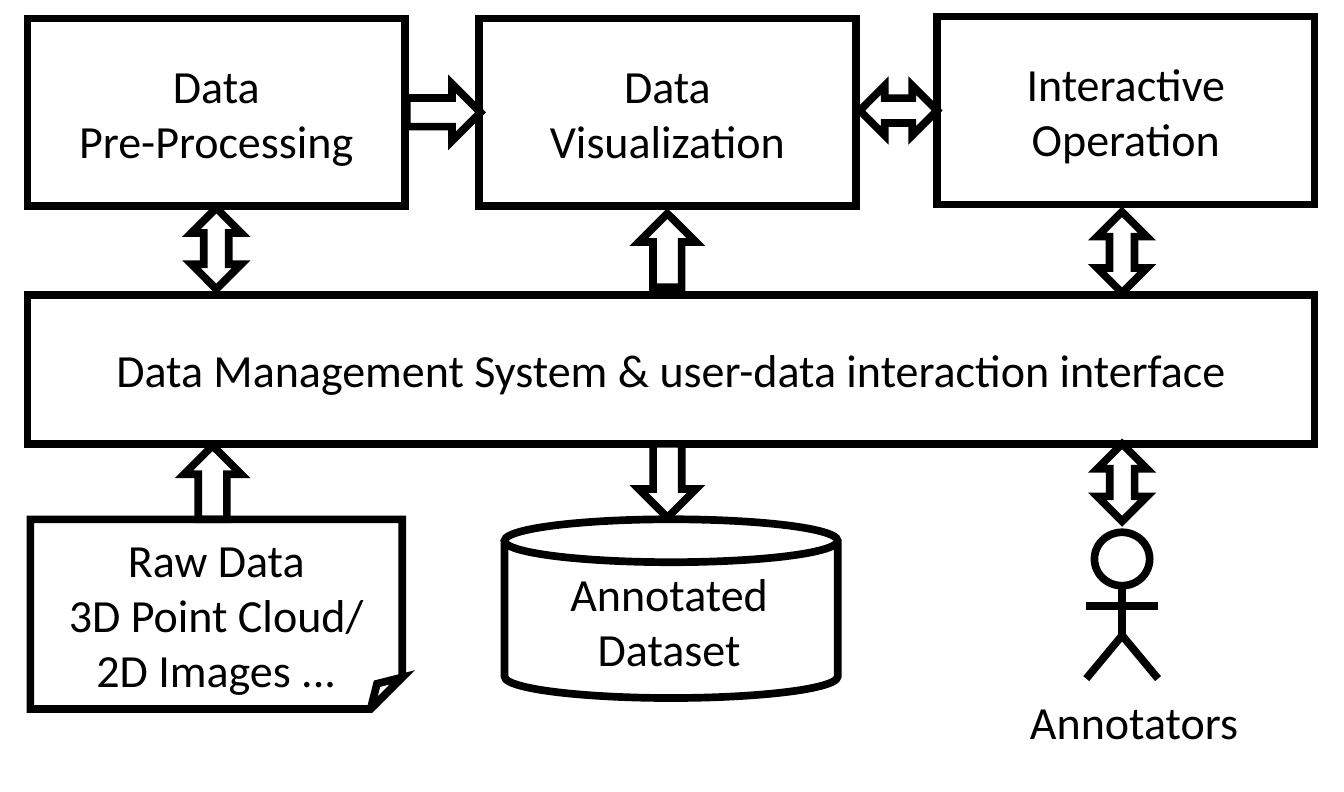
from dataclasses import dataclass
from typing import Any, Optional

from lxml.etree import SubElement
from pptx import Presentation
from pptx.dml.color import RGBColor as RGB
from pptx.enum.shapes import MSO_CONNECTOR as Link, MSO_SHAPE as Kind
from pptx.enum.text import MSO_ANCHOR as Anchor, PP_ALIGN as Align
from pptx.oxml.ns import qn
from pptx.util import Inches, Pt

# The slide is a grid of 73 columns by 43 rows of square cells.
CELL = Inches(0.1)
COLS, ROWS = 73, 43
MARGIN, BOX_W, BAR_W = 1.5, 20.5, 69.9

# Five lanes: the three boxes and the two gaps between them, by centre.
LANES = [MARGIN + BOX_W / 2 + i * (BAR_W - BOX_W) / 4 for i in range(5)]
LEFT, LEFT_GAP, MID, RIGHT_GAP, RIGHT = LANES
TOP, UPPER_GAP, SYSTEM, LOWER_GAP, BOTTOM = 6.1, 13.6, 20.05, 26.2, 33.35


@dataclass(frozen=True)
class Theme:
    """Colours, font and sizes of the slide."""
    ink: RGB = RGB(0, 0, 0)
    paper: RGB = RGB(255, 255, 255)
    font: str = "Calibri"
    size: float = 18
    stroke: float = 3


@dataclass(frozen=True)
class Node:
    """A shape placed by its centre and size, in grid cells."""
    kind: Kind
    x: float
    y: float
    w: float
    h: float
    text: str = ""
    turn: float = 0
    filled: bool = True
    lined: bool = True
    adj: Optional[float] = None


THEME = Theme()


def cells(n: float) -> int:
    """Turn grid cells into a slide length."""
    return round(n * CELL)


def write(sp: Any, text: str, *, size: float = THEME.size, color: RGB = THEME.ink,
          align: Align = Align.CENTER, anchor: Anchor = Anchor.MIDDLE) -> None:
    """Write one paragraph per line of text into a shape."""
    tf = sp.text_frame
    tf.word_wrap = True
    tf.vertical_anchor = anchor
    for i, line in enumerate(text.split("\n")):
        p = tf.add_paragraph() if i else tf.paragraphs[0]
        p.alignment = align
        r = p.add_run()
        r.text = line
        r.font.name, r.font.size = THEME.font, Pt(size)
        r.font.color.rgb = color


def outline(sp: Any) -> None:
    """Give a shape or connector the thick, sharp-cornered line."""
    sp.line.color.rgb = THEME.ink
    sp.line.width = Pt(THEME.stroke)
    SubElement(sp.line._get_or_add_ln(), qn("a:miter"), lim="800000")


def draw(shapes: Any, n: Node) -> None:
    """Draw one node with its fill, line and text."""
    sp = shapes.add_shape(n.kind, cells(n.x - n.w / 2), cells(n.y - n.h / 2),
                          cells(n.w), cells(n.h))
    sp.rotation = n.turn
    if n.adj is not None:
        sp.adjustments[0] = n.adj
    if n.filled:
        sp.fill.solid()
        sp.fill.fore_color.rgb = THEME.paper
    else:
        sp.fill.background()
    if n.lined:
        outline(sp)
    else:
        sp.line.fill.background()
    sp.shadow.inherit = False
    if n.text:
        write(sp, n.text)


def link(shapes: Any, x1: float, y1: float, x2: float, y2: float) -> None:
    """Draw a straight line between two grid points."""
    c = shapes.add_connector(Link.STRAIGHT, cells(x1), cells(y1), cells(x2), cells(y2))
    outline(c)
    SubElement(c._element.spPr, qn("a:effectLst"))


def box(x: float, y: float, text: str) -> Node:
    """Return a process box of the top row."""
    return Node(Kind.RECTANGLE, x, y, BOX_W, 10.2, text)


def one_way(x: float, y: float, turn: float = 0) -> Node:
    """Return a block arrow that points up before its turn."""
    return Node(Kind.UP_ARROW, x, y, 3.1, 4, turn=turn)


def two_way(x: float, y: float, h: float = 4.4, turn: float = 0) -> Node:
    """Return a double-headed block arrow."""
    return Node(Kind.UP_DOWN_ARROW, x, y, 2.7, h, turn=turn)


def label(x: float, y: float, w: float, h: float, text: str, filled: bool = True) -> Node:
    """Return a text area without a line."""
    return Node(Kind.RECTANGLE, x, y, w, h, text, filled=filled, lined=False)


def draw_annotator(shapes: Any, x: float, top: float) -> None:
    """Draw the stick figure as a group, by its centre and top."""
    g = shapes.add_group_shape().shapes
    neck, arms, hip, feet, reach = top + 2.9, top + 4, top + 5.6, top + 7.95, 1.95
    draw(g, Node(Kind.OVAL, x, top + 1.45, 3, 2.9, filled=False))
    link(g, x - reach, arms, x + reach, arms)
    link(g, x, neck, x, hip)
    for side in (-reach, reach):
        link(g, x, hip, x + side, feet)


# Small offsets from the lanes: the centre arrows and the user's column.
MID_FLOW, USER = MID - 0.2, RIGHT - 0.2

NODES = [
    box(RIGHT, TOP - 0.1, "Interactive\nOperation"),
    box(MID_FLOW, TOP, "Data\nVisualization"),
    box(LEFT, TOP, "Data\nPre-Processing"),
    Node(Kind.RECTANGLE, MID, SYSTEM, BAR_W, 8.1,
         "Data Management System & user-data interaction interface"),
    one_way(MID_FLOW, UPPER_GAP),
    two_way(LEFT, UPPER_GAP - 0.1),
    two_way(USER, UPPER_GAP + 0.1),
    two_way(RIGHT_GAP, TOP - 0.1, h=4.2, turn=270),
    one_way(LEFT_GAP, TOP, turn=90),
    label(USER + 0.65, 39.15, 15.2, 6.3, "Annotators", filled=False),
    label(LEFT, BOTTOM, 20.7, 10.4, "Raw Data\n3D Point Cloud/\n2D Images ..."),
    two_way(USER, LOWER_GAP, h=4.2, turn=180),
    label(MID - 0.1, BOTTOM + 0.35, 20.7, 9, "Annotated\nDataset"),
    one_way(LEFT - 0.2, LOWER_GAP),
    one_way(MID_FLOW, LOWER_GAP - 0.1, turn=180),
    Node(Kind.CAN, MID, BOTTOM - 0.3, 18.1, 9.7, filled=False, adj=0.24),
    Node(Kind.FOLDED_CORNER, LEFT, BOTTOM, 20.2, 10.3, filled=False),
]


def main() -> None:
    """Build and save the slide."""
    prs = Presentation()
    prs.slide_width, prs.slide_height = cells(COLS), cells(ROWS)
    s = prs.slides.add_slide(prs.slide_layouts[6])
    for n in NODES:
        draw(s.shapes, n)
    draw_annotator(s.shapes, USER, 28.9)
    prs.save("out.pptx")


main()
